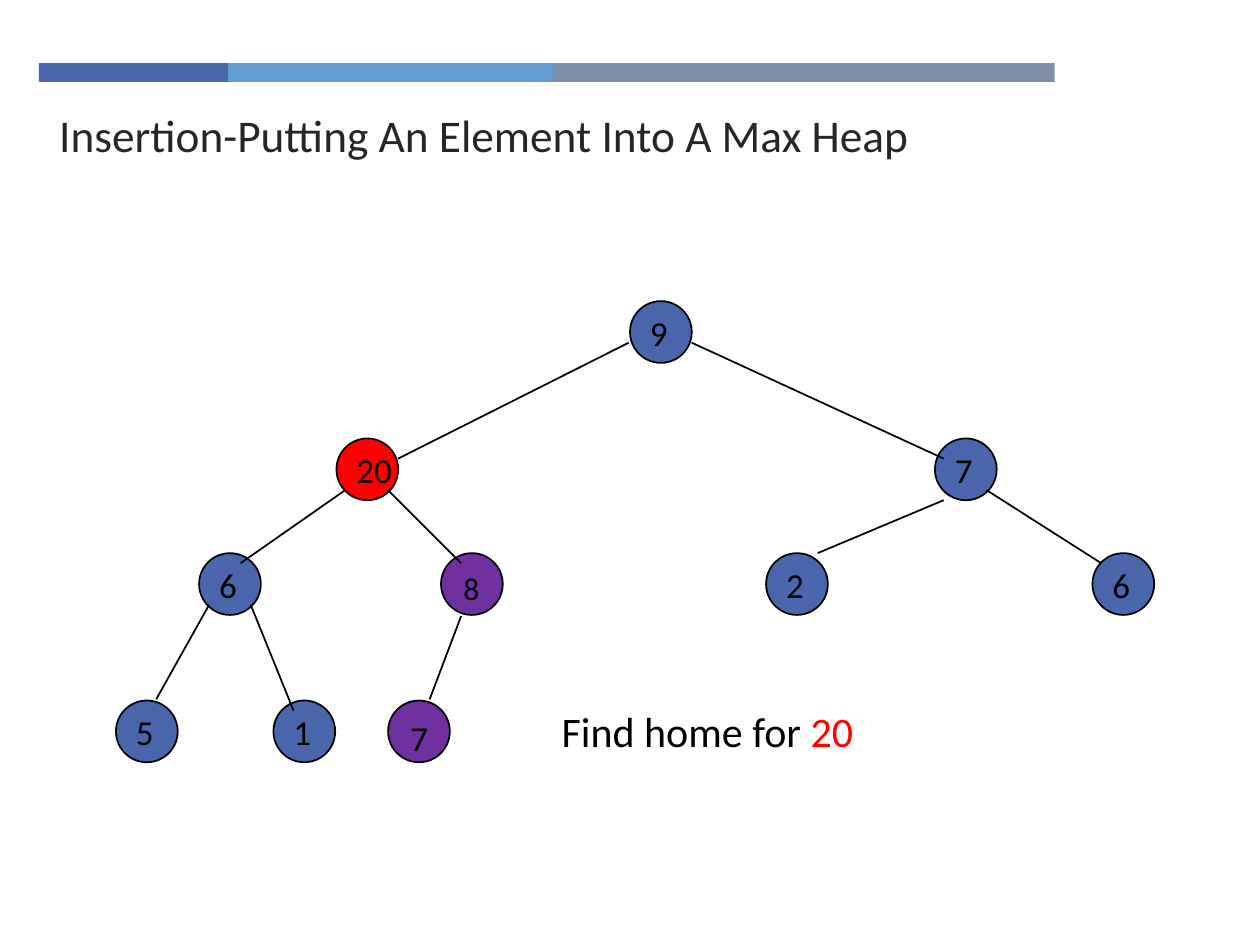
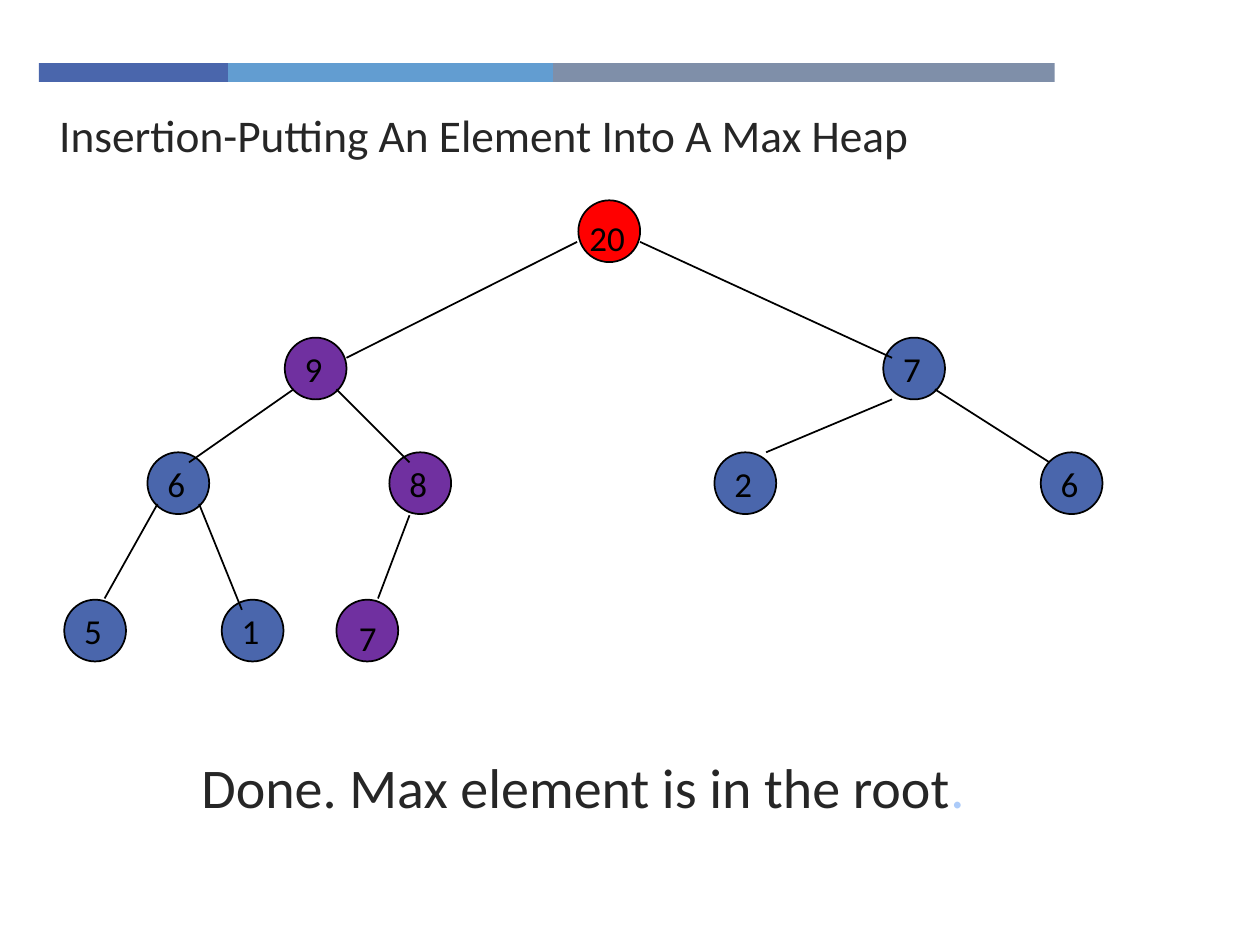
from dataclasses import dataclass

from pptx import Presentation
from pptx.dml.color import RGBColor
from pptx.enum.shapes import MSO_CONNECTOR, MSO_SHAPE
from pptx.enum.text import MSO_ANCHOR, MSO_AUTO_SIZE, PP_ALIGN
from pptx.oxml.ns import qn
from pptx.util import Inches, Pt
from lxml.etree import SubElement


@dataclass(frozen=True)
class Theme:
    """Colours, font and type sizes that the slides share."""
    font: str = "Calibri"
    blue: str = "4A66AC"
    sky: str = "629DD1"
    slate: str = "7F8FA9"
    pale: str = "ACCBF9"
    purple: str = "7030A0"
    red: str = "FF0000"
    black: str = "000000"
    ink: str = "262626"
    title_size: float = 25.9
    closing_size: float = 32
    caption_size: float = 24
    label_size: float = 20
    small_label_size: float = 18


THEME = Theme()
TITLE = "Insertion-Putting An Element Into A Max Heap"
TITLE_ONLY = 5
NODE_SIZE = 0.49
LABEL_OFFSET = (0.06, 0.03)
LOW_LABEL = (0.08, 0.08)

# Top left corner of every tree node, level by level.
PLACES = {
    "root": (5, 2.39),
    "left": (2.67, 3.48), "right": (7.42, 3.48),
    "left_left": (1.58, 4.39), "left_right": (3.5, 4.39),
    "right_left": (6.08, 4.39), "right_right": (8.67, 4.39),
    "leaf_1": (0.92, 5.56), "leaf_2": (2.17, 5.56), "leaf_3": (3.08, 5.56),
}

# Parent, offset in the parent, child, offset in the child.
EDGES = [
    ("root", (-0.01, 0.33), "left", (0.49, 0.16)),
    ("root", (0.49, 0.33), "right", (0.07, 0.16)),
    ("left", (0.07, 0.41), "left_left", (0.33, 0.08)),
    ("left", (0.41, 0.41), "left_right", (0.16, 0.08)),
    ("right", (0.07, 0.49), "right_left", (0.41, 0)),
    ("right", (0.41, 0.41), "right_right", (0.07, 0.08)),
    ("left_left", (0.08, 0.41), "leaf_1", (0.32, -0.01)),
    ("left_left", (0.41, 0.41), "leaf_2", (0.16, 0.08)),
    ("left_right", (0.16, 0.5), "leaf_3", (0.33, -0.01)),
]


@dataclass(frozen=True)
class Node:
    """What one tree node shows."""
    value: str
    fill: str = THEME.blue
    offset: tuple = LABEL_OFFSET
    size: float = THEME.label_size


# Nodes that are the same before and after the last step.
SETTLED = {
    "right": Node("7"), "left_left": Node("6"),
    "right_left": Node("2"), "right_right": Node("6"),
    "leaf_1": Node("5"), "leaf_2": Node("1"),
    "leaf_3": Node("7", THEME.purple, LOW_LABEL),
}


def color(value):
    """Turn a hex string into a colour."""
    return RGBColor.from_string(value)


def add_runs(frame, runs, size, space_before=None):
    """Write (text, colour) runs into the first paragraph of a frame."""
    frame.vertical_anchor = MSO_ANCHOR.TOP
    paragraph = frame.paragraphs[0]
    paragraph.alignment = PP_ALIGN.LEFT
    if space_before:
        paragraph.space_before = Pt(space_before)
    for text, ink in runs:
        run = paragraph.add_run()
        run.text = text
        run.font.name = THEME.font
        run.font.size = Pt(size)
        run.font.color.rgb = color(ink)


def add_text(slide, box, runs, size, wrap=True, space_before=None):
    """Add a text box at (left, top, width, height)."""
    frame = slide.shapes.add_textbox(*map(Inches, box)).text_frame
    frame.word_wrap = wrap
    frame.auto_size = MSO_AUTO_SIZE.SHAPE_TO_FIT_TEXT
    add_runs(frame, runs, size, space_before)


def add_shape(slide, kind, box, fill, line=None):
    """Add a flat preset shape, outlined when a line colour is given."""
    shape = slide.shapes.add_shape(kind, *map(Inches, box))
    shape.shadow.inherit = False
    shape.fill.solid()
    shape.fill.fore_color.rgb = color(fill)
    if line:
        shape.line.color.rgb = color(line)
        shape.line.width = Pt(1)
    else:
        shape.line.fill.background()
    return shape


def add_line(slide, start, end):
    """Add a thin black line without shadow."""
    points = map(Inches, (*start, *end))
    line = slide.shapes.add_connector(MSO_CONNECTOR.STRAIGHT, *points)
    line.line.color.rgb = color(THEME.black)
    line.line.width = Pt(1)
    SubElement(line.element.spPr, qn("a:effectLst"))


def add_bands(slide):
    """Draw the three header bands and hand them to the slide's layout."""
    left = 0.31
    for width, fill in ((1.5, THEME.blue), (2.58, THEME.sky), (3.98, THEME.slate)):
        band = add_shape(slide, MSO_SHAPE.RECTANGLE, (left, 0.5, width, 0.15), fill)
        slide.slide_layout.shapes.element.append(band.element)
        left += width


def add_titled_slide(presentation):
    """Add a title-only slide with the shared heading."""
    slide = presentation.slides.add_slide(presentation.slide_layouts[TITLE_ONLY])
    title = slide.shapes.title
    title.left, title.top = Inches(0.37), Inches(0.8)
    title.width, title.height = Inches(7.16), Inches(0.54)
    title.text_frame.auto_size = MSO_AUTO_SIZE.NONE
    add_runs(title.text_frame, [(TITLE, THEME.ink)], THEME.title_size, 20)
    return slide


def moved(point, offset):
    """Shift a point by an offset."""
    return point[0] + offset[0], point[1] + offset[1]


def add_tree(slide, nodes, shift=(0, 0)):
    """Draw the heap: circles, then edges, then values."""
    places = {name: moved(place, shift) for name, place in PLACES.items()}
    for name, place in places.items():
        box = (*place, NODE_SIZE, NODE_SIZE)
        add_shape(slide, MSO_SHAPE.OVAL, box, nodes[name].fill, THEME.black)
    for parent, start, child, end in EDGES:
        add_line(slide, moved(places[parent], start), moved(places[child], end))
    for name, place in places.items():
        node = nodes[name]
        width = 0.2 + 0.14 * len(node.value)
        box = (*moved(place, node.offset), width, 0.43)
        add_text(slide, box, [(node.value, THEME.black)], node.size, wrap=False)


def build_search_slide(presentation):
    """20 has moved up one level and still seeks its place."""
    slide = add_titled_slide(presentation)
    add_bands(slide)
    add_tree(slide, {
        **SETTLED,
        "root": Node("9"),
        "left": Node("20", THEME.red),
        "left_right": Node("8", THEME.purple, LOW_LABEL, THEME.small_label_size),
    })
    add_text(slide, (4.36, 5.55, 3.3, 0.5),
             [("Find home for ", THEME.black), ("20", THEME.red)],
             THEME.caption_size)


def build_done_slide(presentation):
    """20 has reached the root."""
    slide = add_titled_slide(presentation)
    add_text(slide, (1.5, 5.92, 7, 0.69),
             [("Done. Max element is in the root", THEME.ink), (".", THEME.pale)],
             THEME.closing_size, space_before=20)
    add_tree(slide, {
        **SETTLED,
        "root": Node("20", THEME.red, (-0.01, 0.08)),
        "left": Node("9", THEME.purple),
        "left_right": Node("8", THEME.purple),
    }, shift=(-0.41, -0.8))


def main():
    """Build and save the presentation."""
    presentation = Presentation()
    presentation.slide_width, presentation.slide_height = Inches(10), Inches(7.5)
    build_search_slide(presentation)
    build_done_slide(presentation)
    presentation.save("out.pptx")


main()
